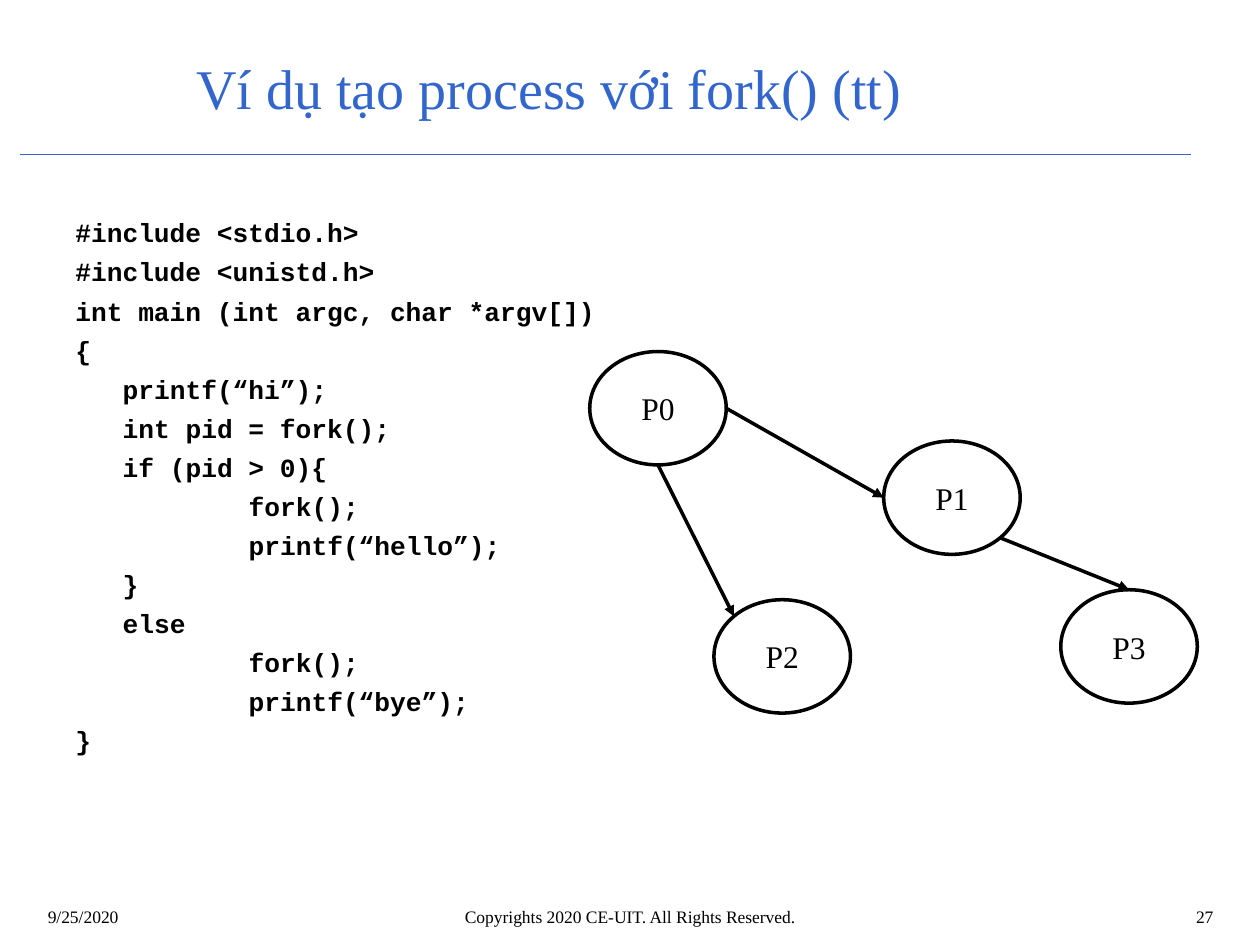
from math import cos, radians, sin

from lxml import etree
from pptx import Presentation
from pptx.dml.color import RGBColor
from pptx.enum import shapes, text
from pptx.oxml import ns
from pptx.util import Pt

COLORS = {"blue": "3366CC", "black": "000000", "white": "FFFFFF"}
SERIF, MONO = "Times New Roman", "Courier New"
ALIGN, ANCHOR = text.PP_ALIGN, text.MSO_ANCHOR
NODE_WIDTH, NODE_HEIGHT = 78, 64.8

CODE = [
    "#include <stdio.h>",
    "#include <unistd.h>",
    "int main (int argc, char *argv[])",
    "{",
    "\tprintf(“hi”);",
    "\tint pid = fork();",
    "\tif (pid > 0){",
    "\t\t\tfork();",
    "\t\t\tprintf(“hello”);",
    "\t}",
    "\telse",
    "\t\t\tfork();",
    "\t\t\tprintf(“bye”);",
    "}",
]

# Left and top of each process node
NODES = {"P0": (337, 200.9), "P3": (606.2, 337), "P1": (505, 252), "P2": (408, 342.7)}

# Parent, angle where the arrow leaves, child, angle where it arrives
# (degrees clockwise from the right side)
FORKS = [("P0", 0, "P1", 180), ("P0", 90, "P2", 225), ("P1", 45, "P3", 270)]

FOOTERS = [
    ("9/25/2020", 20.2, 168, ALIGN.LEFT),
    ("27", 562.3, 138.2, ALIGN.RIGHT),
    ("Copyrights 2020 CE-UIT. All Rights Reserved.", 139, 442, ALIGN.CENTER),
]


def color(name):
    return RGBColor.from_string(COLORS[name])


def rim_point(node, angle):
    left, top = NODES[node]
    return (left + NODE_WIDTH / 2 * (1 + cos(radians(angle))),
            top + NODE_HEIGHT / 2 * (1 + sin(radians(angle))))


class SlideBuilder:
    def __init__(self, deck):
        self.page = deck.slides.add_slide(deck.slide_layouts[5])

    def fill_text(self, shape, lines, size, font=SERIF, ink="black", bold=False,
                  align=ALIGN.LEFT, anchor=ANCHOR.TOP, hanging=0, **spacing):
        frame = shape.text_frame
        frame_format = {"word_wrap": True, "auto_size": text.MSO_AUTO_SIZE.NONE,
                        "vertical_anchor": anchor}
        for name, value in frame_format.items():
            setattr(frame, name, value)
        for number, line in enumerate(lines):
            para = frame.add_paragraph() if number else frame.paragraphs[0]
            para.alignment = align
            for name, value in spacing.items():
                setattr(para, name, value)
            if hanging:
                properties = para._p.get_or_add_pPr()
                properties.set("marL", str(Pt(hanging)))
                properties.set("indent", str(-Pt(hanging)))
            span = para.add_run()
            span.text = line
            for name, value in {"name": font, "size": Pt(size), "bold": bold}.items():
                setattr(span.font, name, value)
            span.font.color.rgb = color(ink)

    def title(self, words, left, top, width, height):
        box = self.page.shapes.title
        place = {"left": left, "top": top, "width": width, "height": height}
        for name, value in place.items():
            setattr(box, name, Pt(value))
        self.fill_text(box, [words], 32, ink="blue", anchor=ANCHOR.MIDDLE)

    def text_box(self, lines, left, top, width, height, size, **style):
        box = self.page.shapes.add_textbox(Pt(left), Pt(top), Pt(width), Pt(height))
        self.fill_text(box, lines, size, **style)

    def node(self, label, left, top):
        oval = self.page.shapes.add_shape(
            shapes.MSO_SHAPE.OVAL, Pt(left), Pt(top), Pt(NODE_WIDTH), Pt(NODE_HEIGHT))
        oval.shadow.inherit = False
        oval.fill.solid()
        oval.fill.fore_color.rgb = color("white")
        oval.line.color.rgb = color("black")
        oval.line.width = Pt(2)
        self.fill_text(oval, [label], 18, align=ALIGN.CENTER, anchor=ANCHOR.MIDDLE)

    def line(self, start, end, ink, width, arrow=False):
        line = self.page.shapes.add_connector(
            shapes.MSO_CONNECTOR.STRAIGHT, *(Pt(value) for value in (*start, *end)))
        line.line.color.rgb = color(ink)
        line.line.width = Pt(width)
        if arrow:
            outline = line._element.spPr.find(ns.qn("a:ln"))
            etree.SubElement(outline, ns.qn("a:tailEnd"), type="triangle")
        etree.SubElement(line._element.spPr, ns.qn("a:effectLst"))


def main():
    deck = Presentation()
    deck.slide_width, deck.slide_height = Pt(720), Pt(540)
    builder = SlideBuilder(deck)

    # Heading and rule
    builder.line((11.5, 88.4), (680.4, 88.4), "blue", 0.75)
    builder.title("Ví dụ tạo process với fork() (tt)", 105, 22.3, 579, 54.7)

    # Footer
    for words, left, width, align in FOOTERS:
        builder.text_box([words], left, 514, width, 23, 10, align=align)

    # Program listing
    builder.text_box(CODE, 36, 123.8, 381.6, 347.8, 15, font=MONO, bold=True,
                     hanging=27, line_spacing=0.8, space_before=Pt(7.9))

    # Process tree
    for label, (left, top) in NODES.items():
        builder.node(label, left, top)
    for parent, leave, child, arrive in FORKS:
        builder.line(rim_point(parent, leave), rim_point(child, arrive), "black", 2, arrow=True)

    deck.save("out.pptx")


if __name__ == "__main__":
    main()
